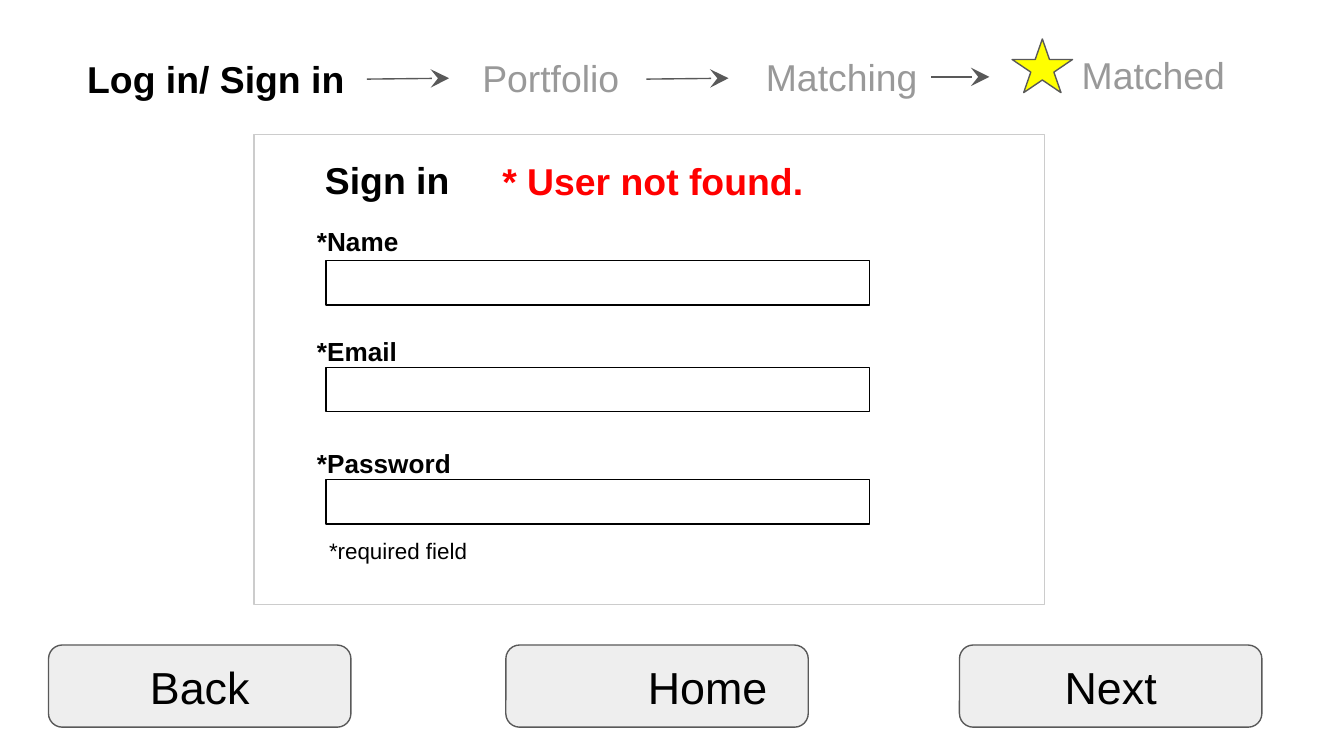
from dataclasses import dataclass

from lxml import etree
from pptx import Presentation
from pptx.dml.color import RGBColor
from pptx.enum.shapes import MSO_CONNECTOR as Link, MSO_SHAPE as Shape
from pptx.enum.text import MSO_ANCHOR as Anchor, PP_ALIGN as Align
from pptx.oxml.ns import qn
from pptx.util import Pt


@dataclass(frozen=True)
class Theme:
    font: str = "Arial"
    ink: str = "000000"
    muted: str = "999999"
    error: str = "FF0000"
    outline: str = "595959"
    frame: str = "CCCCCC"
    button: str = "EEEEEE"
    star: str = "FFFF00"
    button_size: float = 24
    title_size: float = 20
    label_size: float = 14
    note_size: float = 12
    line: float = 0.75
    inset: float = 7.2
    text_height: float = 28.8


T = Theme()


def rgb(color):
    return RGBColor.from_string(color)


def write(sp, text, size, color, bold=False):
    tf = sp.text_frame
    tf.word_wrap = True
    tf.margin_left = tf.margin_right = tf.margin_top = tf.margin_bottom = Pt(T.inset)
    tf.text = text
    font = tf.paragraphs[0].runs[0].font
    font.name, font.size, font.bold = T.font, Pt(size), bold
    font.color.rgb = rgb(color)
    return tf


def add_label(s, left, top, width, text, size, color=T.ink, bold=False):
    sp = s.shapes.add_textbox(Pt(left), Pt(top), Pt(width), Pt(T.text_height))
    write(sp, text, size, color, bold).vertical_anchor = Anchor.TOP


def add_box(s, kind, box, line, fill=None):
    sp = s.shapes.add_shape(kind, *map(Pt, box))
    sp.shadow.inherit = False
    if fill:
        sp.fill.solid()
        sp.fill.fore_color.rgb = rgb(fill)
    else:
        sp.fill.background()
    sp.line.color.rgb = rgb(line)
    sp.line.width = Pt(T.line)
    return sp


def add_arrow(s, x1, y1, x2, y2):
    cx = s.shapes.add_connector(Link.STRAIGHT, Pt(x1), Pt(y1), Pt(x2), Pt(y2))
    cx.line.color.rgb = rgb(T.outline)
    cx.line.width = Pt(T.line)
    etree.SubElement(cx.line._get_or_add_ln(), qn("a:tailEnd"),
                     type="stealth", w="lg", len="lg")
    etree.SubElement(cx._element.spPr, qn("a:effectLst"))


def add_progress(s, left, top):
    steps = [
        ("Log in/ Sign in", 0, 2.2, 166.3, T.ink, True),
        ("Portfolio", 211.7, 1.5, 100, T.muted, False),
        ("Matching", 363.6, 0.7, 166.3, T.muted, False),
        ("Matched", 532.8, 0, 147, T.muted, False),
    ]
    for text, x, y, width, color, bold in steps:
        add_label(s, left + x, top + y, width, text, T.title_size, color, bold)
    for x, y, width, rise in [(157, 21.5, 44, 0.5), (306.7, 21.5, 44, 0.5),
                              (459.4, 20.3, 31, 0)]:
        add_arrow(s, left + x, top + y, left + x + width, top + y - rise)
    add_box(s, Shape.STAR_5_POINT, (left + 502.6, top, 32.4, 28.8), T.outline, T.star)


def add_sign_in(s, left, top, width, height):
    add_box(s, Shape.RECTANGLE, (left, top, width, height), T.frame)
    add_label(s, left + 31, top + 5, 85, "Sign in", T.title_size, bold=True)
    add_label(s, left + 126, top + 5.8, 226, "* User not found.", T.title_size,
              T.error, True)
    fields = [("*Name", 41.8, 67.6, 62.6), ("*Email", 100.6, 124.8, 62.6),
              ("*Password", 160.6, 185, 88.6)]
    for text, label_top, input_top, label_width in fields:
        add_label(s, left + 26.7, top + label_top, label_width, text,
                  T.label_size, bold=True)
        add_box(s, Shape.RECTANGLE, (left + 38.7, top + input_top, 291, 23.8), T.ink)
    add_label(s, left + 33.2, top + 208.8, 128, "*required field", T.note_size)


def add_buttons(s, left, top, width, height):
    button_width = 162
    buttons = [("Back", 0, Align.CENTER, 0), ("Home", 245, Align.LEFT, 66.7),
               ("Next", width - button_width, Align.CENTER, 0)]
    for text, x, align, indent in buttons:
        sp = add_box(s, Shape.ROUNDED_RECTANGLE,
                     (left + x, top, button_width, height), T.outline, T.button)
        tf = write(sp, text, T.button_size, T.ink)
        tf.vertical_anchor = Anchor.MIDDLE
        tf.margin_left = Pt(T.inset + indent)
        tf.paragraphs[0].alignment = align


def main():
    prs = Presentation()
    prs.slide_width, prs.slide_height = Pt(720), Pt(405)
    s = prs.slides.add_slide(prs.slide_layouts[6])
    add_sign_in(s, 136, 72, 423.6, 252)
    add_buttons(s, 26, 345.6, 650, 44)
    add_progress(s, 39.6, 20.9)
    prs.save("out.pptx")


if __name__ == "__main__":
    main()
